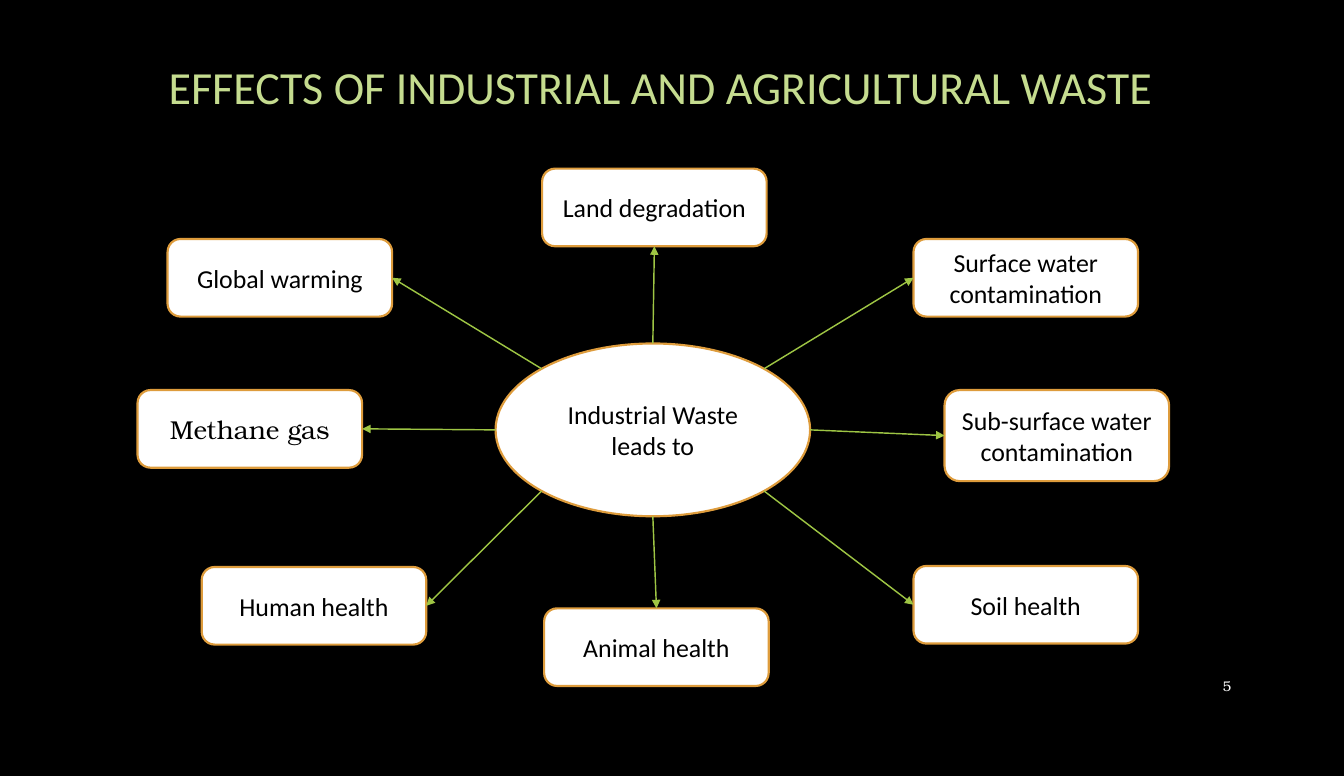
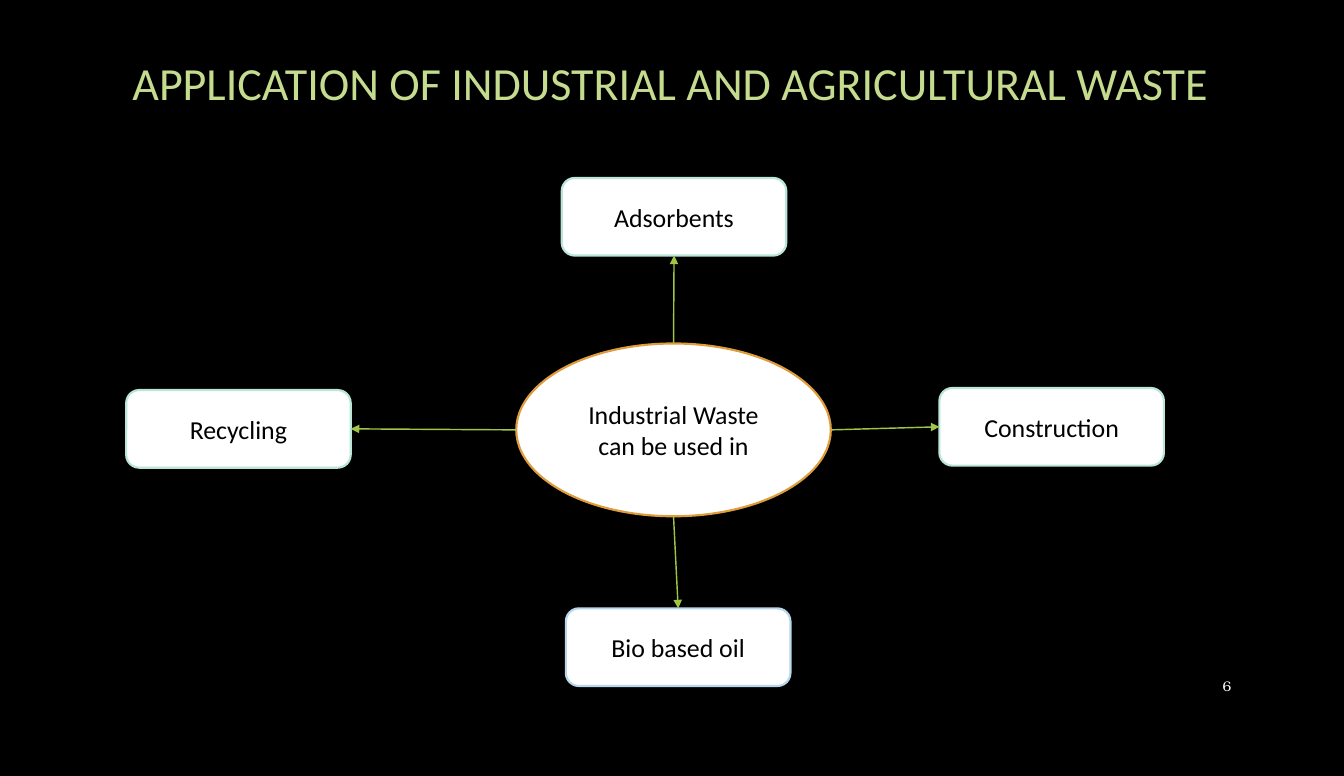
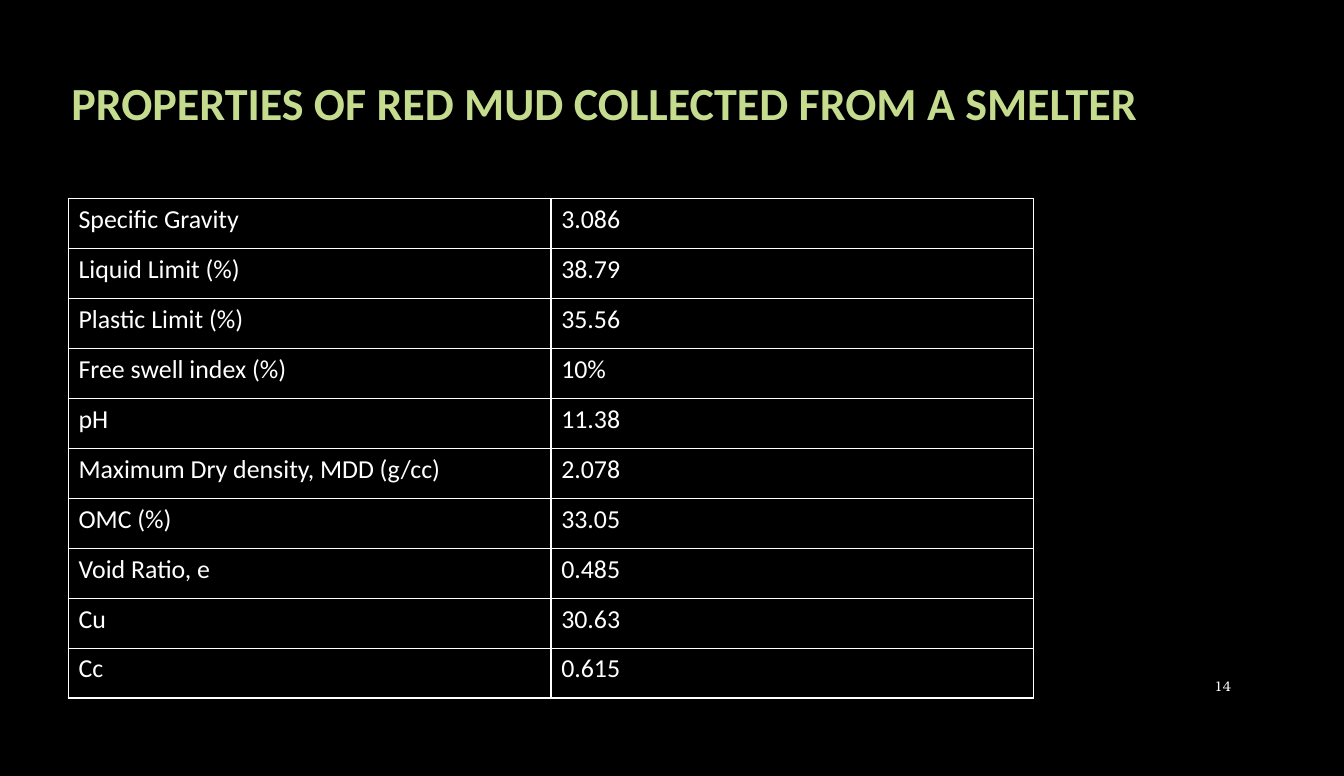
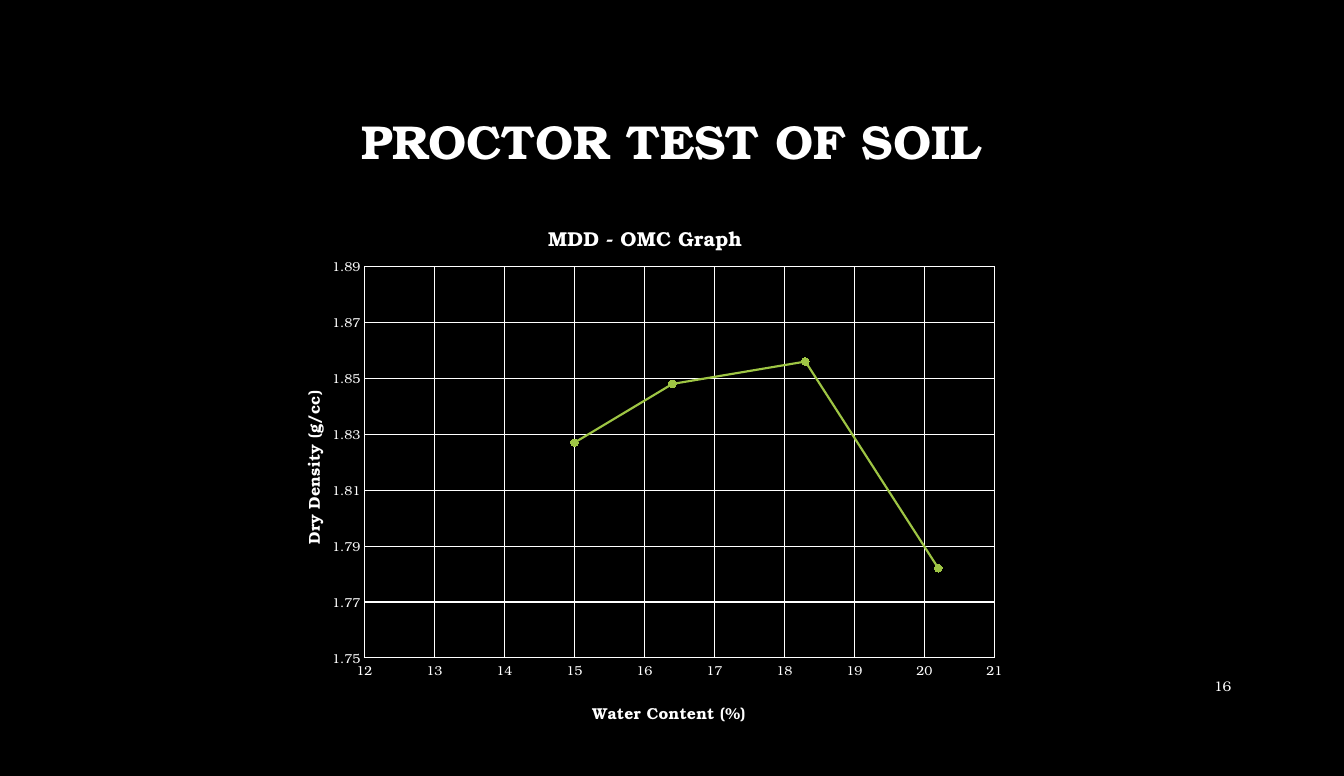
from math import hypot

from lxml.etree import SubElement
from pptx import Presentation
from pptx.chart.data import XyChartData
from pptx.dml.color import RGBColor
from pptx.enum.chart import XL_CHART_TYPE as CHART, XL_MARKER_STYLE as MARKER
from pptx.enum.chart import XL_TICK_MARK as TICK
from pptx.enum.shapes import MSO_CONNECTOR as CONNECTOR, MSO_SHAPE as SHAPE
from pptx.enum.text import MSO_ANCHOR as ANCHOR, MSO_AUTO_SIZE as AUTOSIZE
from pptx.enum.text import PP_ALIGN as ALIGN
from pptx.oxml.ns import qn
from pptx.util import Pt

# Shared look
EMU_PER_PX = 9144  # 100 px to the inch
SANS, SERIF = "Calibri", "TeX Gyre Bonum"
COLORS = {
    "black": "000000", "white": "FFFFFF", "title": "C5DC8F", "green": "9EC544",
    "orange": "DE9C3C", "mint": "B9E5DA", "sky": "B7D7EB",
}
PAGE_BOX = (1120, 643, 80, 40)
HUB_SIZE = (304, 167)
NODE_SIZE = (217, 75)


def px(*lengths):
    return [round(length * EMU_PER_PX) for length in lengths]


def rgb(name):
    return RGBColor.from_string(COLORS[name])


def apply(target, formats):
    for name, value in formats.items():
        setattr(target, name, value)


def set_font(font, face, size, color, bold=False):
    apply(font, {"name": face, "size": Pt(size), "bold": bold})
    font.color.rgb = rgb(color)


def set_line(line, color, width):
    line.color.rgb = rgb(color)
    line.width = Pt(width)


def write(frame, text, font, align, anchor):
    apply(frame, {"text": text, "word_wrap": True, "vertical_anchor": anchor,
                  "auto_size": AUTOSIZE.NONE})
    for paragraph in frame.paragraphs:
        paragraph.alignment = align
        set_font(paragraph.font, *font)


# Slide frame: title and page number
def add_slide(prs, title, box, page, font=(SANS, 32, "title"),
              align=ALIGN.LEFT, anchor=ANCHOR.TOP, spacing=1.0):
    slide = prs.slides.add_slide(prs.slide_layouts[5])
    heading = slide.shapes.title
    apply(heading, dict(zip(("left", "top", "width", "height"), px(*box))))
    write(heading.text_frame, title, font, align, anchor)
    heading.text_frame.paragraphs[0].line_spacing = spacing

    number = slide.shapes.add_textbox(*px(*PAGE_BOX))
    write(number.text_frame, str(page), (SERIF, 9.7, "white"),
          ALIGN.RIGHT, ANCHOR.MIDDLE)
    return slide


# Hub diagram
def add_bubble(slide, kind, box, text, border, face=SANS):
    bubble = slide.shapes.add_shape(kind, *px(*box))
    bubble.shadow.inherit = False
    bubble.fill.solid()
    bubble.fill.fore_color.rgb = rgb("white")
    set_line(bubble.line, border, 1.5)
    write(bubble.text_frame, text, (face, 18, "black"),
          ALIGN.CENTER, ANCHOR.MIDDLE)


def add_arrow(slide, start, end):
    arrow = slide.shapes.add_connector(CONNECTOR.STRAIGHT, *px(*start, *end))
    set_line(arrow.line, "green", 1)
    SubElement(arrow.line._get_or_add_ln(), qn("a:tailEnd"), type="triangle")
    SubElement(arrow._element.spPr, qn("a:effectLst"))


def add_hub_diagram(slide, origin, hub_offset, hub_text, nodes):
    """Each node: text, offset from origin, direction from hub, extras."""
    left, top = origin
    hub_x, hub_y = left + hub_offset[0], top + hub_offset[1]
    hub_w, hub_h = HUB_SIZE
    add_bubble(slide, SHAPE.OVAL, (hub_x, hub_y, *HUB_SIZE), hub_text, "orange")

    for text, (dx, dy), (right, down), extras in nodes:
        x, y = left + dx, top + dy
        w, h = NODE_SIZE[0], extras.get("height", NODE_SIZE[1])
        add_bubble(slide, SHAPE.ROUNDED_RECTANGLE, (x, y, w, h), text,
                   extras.get("border", "orange"), extras.get("face", SANS))

        # From the rim of the hub to the facing side of the node
        reach = 2 * hypot(right, down)
        start = (hub_x + hub_w / 2 + hub_w * right / reach,
                 hub_y + hub_h / 2 + hub_h * down / reach)
        if right:
            end = (x if right > 0 else x + w, y + h / 2)
        else:
            end = (x + w / 2, y if down > 0 else y + h)
        add_arrow(slide, start, end)


# Property table
def add_border(cell, color):
    properties = cell._tc.get_or_add_tcPr()
    for side in ("a:lnL", "a:lnR", "a:lnT", "a:lnB"):
        edge = SubElement(properties, qn(side), w=str(Pt(1)))
        fill = SubElement(edge, qn("a:solidFill"))
        SubElement(fill, qn("a:srgbClr"), val=COLORS[color])


def add_property_table(slide, box, rows):
    table = slide.shapes.add_table(len(rows), 2, *px(*box)).table
    apply(table, {"first_row": False, "horz_banding": False})
    for column in table.columns:
        column.width = px(box[2] / 2)[0]
    for row, values in zip(table.rows, rows):
        row.height = px(box[3] / len(rows))[0]
        for cell, value in zip(row.cells, values):
            cell.text = value
            set_font(cell.text_frame.paragraphs[0].font, SANS, 18, "white")
            add_border(cell, "white")
            cell.fill.solid()
            cell.fill.fore_color.rgb = rgb("black")


# Scatter chart
def place_part(element, index, **fractions):
    old = element.find(qn("c:layout"))
    if old is not None:
        element.remove(old)
    layout = element.makeelement(qn("c:layout"), {})
    element.insert(index, layout)
    manual = SubElement(layout, qn("c:manualLayout"))
    if "w" in fractions:
        SubElement(manual, qn("c:layoutTarget"), val="inner")
    for mode in ("xMode", "yMode"):
        SubElement(manual, qn("c:" + mode), val="edge")
    for name, value in fractions.items():
        SubElement(manual, qn("c:" + name), val=str(value))


def set_chart_title(title, text, size, x, y):
    title.text_frame.text = text
    set_font(title.text_frame.paragraphs[0].runs[0].font,
             SERIF, size, "white", True)
    place_part(title._element, 1, x=x, y=y)


def format_axis(axis, title, position, scale, number_format):
    low, high, step = scale
    apply(axis, {"minimum_scale": low, "maximum_scale": high,
                 "major_unit": step, "has_major_gridlines": True,
                 "major_tick_mark": TICK.NONE, "minor_tick_mark": TICK.NONE})
    apply(axis.tick_labels, {"number_format": number_format,
                             "number_format_is_linked": False})
    set_font(axis.tick_labels.font, SERIF, 9, "white")
    for line in (axis.format.line, axis.major_gridlines.format.line):
        set_line(line, "white", 0.75)
    set_chart_title(axis.axis_title, title, 11, *position)


def add_density_chart(slide, box, points):
    data = XyChartData()
    density = data.add_series("Series 1")
    for water, value in points:
        density.add_data_point(water, value)
    chart = slide.shapes.add_chart(CHART.XY_SCATTER_SMOOTH, *px(*box), data).chart
    chart.has_legend = False
    set_font(chart.font, SERIF, 10, "white")
    set_chart_title(chart.chart_title, "MDD - OMC Graph", 14, 0.37, 0.05)
    format_axis(chart.category_axis, "Water Content (%)", (0.43, 0.92),
                (12, 21, 1), "0")
    format_axis(chart.value_axis, "Dry Density (g/cc)", (0.04, 0.36),
                (1.75, 1.89, 0.02), "0.00")
    plot = chart.plots[0]
    plot.vary_by_categories = False
    place_part(chart._chartSpace.find(".//" + qn("c:plotArea")), 0,
               x=0.13, y=0.14, w=0.84, h=0.71)

    curve = plot.series[0]
    curve.smooth = True
    set_line(curve.format.line, "green", 1.5)
    apply(curve.marker, {"style": MARKER.CIRCLE, "size": 5})
    curve.marker.format.fill.solid()
    curve.marker.format.fill.fore_color.rgb = rgb("green")
    set_line(curve.marker.format.line, "green", 0.75)


# Content
EFFECTS = [
    ("Global warming", (29, 68), (-1, -1), {}),
    ("Methane gas", (0, 214), (-1, 0), {"face": SERIF}),
    ("Land degradation", (391, 0), (0, -1), {}),
    ("Surface water contamination", (750, 68), (1, -1), {}),
    ("Sub-surface water contamination", (780, 214), (1, 0), {"height": 88}),
    ("Human health", (62, 385), (-1, 1), {}),
    ("Animal health", (393, 425), (0, 1), {}),
    ("Soil health", (750, 384), (1, 1), {}),
]
APPLICATIONS = [
    ("Recycling", (0, 205), (-1, 0), {"border": "mint"}),
    ("Adsorbents", (421, 0), (0, -1), {"border": "mint"}),
    ("Construction", (786, 203), (1, 0), {"border": "mint"}),
    ("Bio based oil", (425, 416), (0, 1), {"border": "sky"}),
]
PROPERTIES = [
    ("Specific Gravity", "3.086"),
    ("Liquid Limit (%)", "38.79"),
    ("Plastic Limit (%)", "35.56"),
    ("Free swell index (%)", "10%"),
    ("pH", "11.38"),
    ("Maximum Dry density, MDD (g/cc)", "2.078"),
    ("OMC (%)", "33.05"),
    ("Void Ratio, e", "0.485"),
    ("Cu", "30.63"),
    ("Cc", "0.615"),
]
PROCTOR_POINTS = [(15, 1.827), (16.4, 1.848), (18.3, 1.856), (20.2, 1.782)]


def main():
    prs = Presentation()
    prs.slide_width, prs.slide_height = px(1299, 750)
    backdrop = prs.slide_master.background.fill
    backdrop.solid()
    backdrop.fore_color.rgb = rgb("black")

    effects = add_slide(prs, "EFFECTS OF INDUSTRIAL AND AGRICULTURAL WASTE",
                        (153, 52, 1025, 64), 5)
    add_hub_diagram(effects, (133, 163), (346, 169),
                    "Industrial Waste\nleads to", EFFECTS)

    uses = add_slide(prs, "APPLICATION OF INDUSTRIAL AND AGRICULTURAL WASTE",
                     (118, 48, 1075, 64), 6)
    add_hub_diagram(uses, (122, 172), (377, 160),
                    "Industrial Waste\ncan be used in", APPLICATIONS)

    red_mud = add_slide(prs, "PROPERTIES OF RED MUD COLLECTED FROM A SMELTER",
                        (59, 67, 1142, 64), 14,
                        font=(SANS, 32, "title", True))
    add_property_table(red_mud, (66, 192, 933, 483), PROPERTIES)

    proctor = add_slide(prs, "PROCTOR TEST OF SOIL", (97, 67, 1103, 145), 16,
                        font=(SERIF, 33.1, "white", True), align=ALIGN.CENTER,
                        anchor=ANCHOR.MIDDLE, spacing=0.9)
    add_density_chart(proctor, (258, 183, 725, 533), PROCTOR_POINTS)

    prs.save("out.pptx")


if __name__ == "__main__":
    main()
